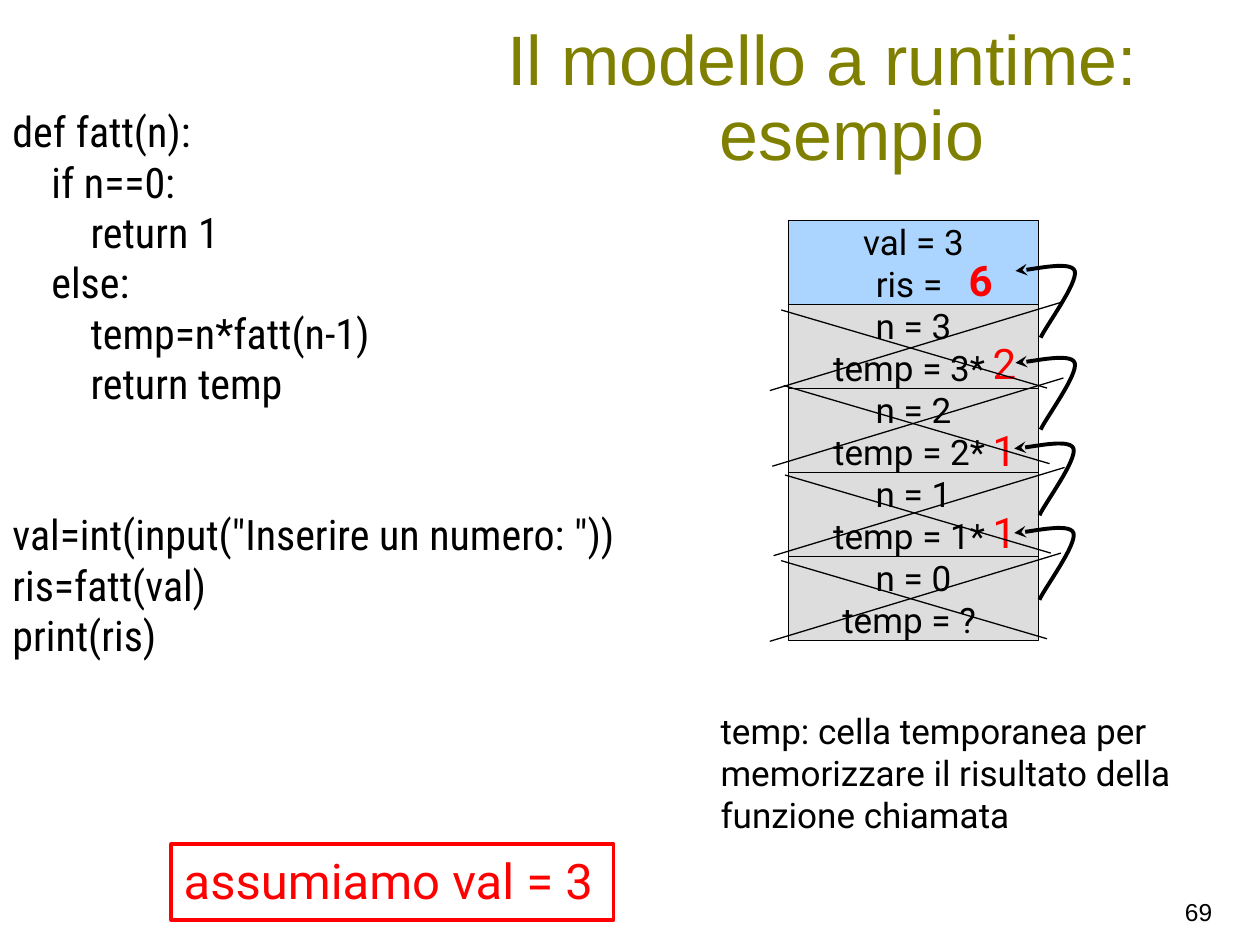
from dataclasses import dataclass

from lxml.etree import SubElement
from pptx import Presentation
from pptx.dml.color import RGBColor
from pptx.enum.shapes import MSO_CONNECTOR as Connector, MSO_SHAPE as Shape
from pptx.enum.text import MSO_ANCHOR as Anchor, PP_ALIGN as Align
from pptx.oxml.ns import qn
from pptx.util import Inches, Pt


@dataclass(frozen=True)
class Theme:
    black: RGBColor = RGBColor(0, 0, 0)
    red: RGBColor = RGBColor(255, 0, 0)
    olive: RGBColor = RGBColor(128, 128, 0)
    main_frame: RGBColor = RGBColor(0xAB, 0xD5, 0xFF)
    call_frame: RGBColor = RGBColor(0xDD, 0xDD, 0xDD)
    title: int = 40
    banner: int = 28
    code: int = 24
    body: int = 20
    number: int = 14


theme = Theme()


def write(shape, lines, size, color=theme.black, name="Roboto", bold=False,
          wrap=False, anchor=Anchor.TOP, align=Align.LEFT):
    """Fill a shape with lines given as (text, indent in inches, space before in points)."""
    frame = shape.text_frame
    frame.word_wrap, frame.vertical_anchor = wrap, anchor
    for i, (text, indent, space) in enumerate(lines):
        paragraph = frame.paragraphs[0] if i == 0 else frame.add_paragraph()
        paragraph.alignment = align
        if space:
            paragraph.space_before = Pt(space)
        if indent:
            paragraph._p.get_or_add_pPr().set("marL", str(Inches(indent)))
        run = paragraph.add_run()
        run.text = text
        for key, value in {"size": Pt(size), "name": name, "bold": bold}.items():
            setattr(run.font, key, value)
        run.font.color.rgb = color


def outline(shape, color, width):
    """Give a shape or connector a plain line without a shadow."""
    shape.line.color.rgb = color
    shape.line.width = Pt(width)
    if hasattr(shape, "shadow"):
        shape.shadow.inherit = False
    else:
        SubElement(shape._element.spPr, qn("a:effectLst"))


prs = Presentation()
prs.slide_width, prs.slide_height = Inches(10), Inches(7.5)
slide = prs.slides.add_slide(prs.slide_layouts[6])
shapes = slide.shapes

# Page number and title
page_number = shapes.add_textbox(Inches(8.96), Inches(7.07), Inches(0.76), Inches(0.39))
write(page_number, [("69", 0, 0)], theme.number, name="Arial", wrap=True, align=Align.RIGHT)

title = shapes.add_textbox(Inches(3.23), Inches(0.17), Inches(6.59), Inches(1.25))
write(title, [("Il modello a runtime:", 0, 0), ("esempio", 0.47, 0)], theme.title, theme.olive,
      name="Arial", wrap=True, anchor=Anchor.MIDDLE, align=Align.CENTER)
for paragraph in title.text_frame.paragraphs:
    paragraph.line_spacing = 0.9

# Program: one indent step per block, a gap of two lines before the main part
step, gap = 0.31, 57.5
code = [
    ("def fatt(n):", 0, 0),
    ("if n==0:", step, 0),
    ("return 1", 2 * step, 0),
    ("else:", step, 0),
    ("temp=n*fatt(n-1)", 2 * step, 0),
    ("return temp", 2 * step, 0),
    ('val=int(input("Inserire un numero: "))', 0, gap),
    ("ris=fatt(val)", 0, 0),
    ("print(ris)", 0, 0),
]
program = shapes.add_textbox(Inches(0), Inches(0.79), Inches(5.62), Inches(4.55))
write(program, code, theme.code, name="Roboto Condensed")

# Call stack
stack = [("val = 3", "ris = "), ("n = 3", "temp = 3* "), ("n = 2", "temp = 2* "),
         ("n = 1", "temp = 1* "), ("n = 0", "temp = ? ")]
frame_height = 0.667
for i, variables in enumerate(stack):
    record = shapes.add_shape(Shape.RECTANGLE, Inches(6.26), Inches(1.75 + i * frame_height),
                              Inches(1.98), Inches(frame_height))
    record.fill.solid()
    record.fill.fore_color.rgb = theme.call_frame if i else theme.main_frame
    outline(record, theme.black, 0.75)
    write(record, [(text, 0, 0) for text in variables], theme.body,
          anchor=Anchor.MIDDLE, align=Align.CENTER)

# Explanation and assumption
explanation = shapes.add_textbox(Inches(5.62), Inches(5.58), Inches(3.81), Inches(1.1))
write(explanation, [("temp: cella temporanea per", 0, 0),
                    ("memorizzare il risultato della", 0, 0),
                    ("funzione chiamata", 0, 0)], theme.body)

assumption = shapes.add_shape(Shape.RECTANGLE, Inches(1.36), Inches(6.7),
                              Inches(3.51), Inches(0.6))
assumption.fill.background()
outline(assumption, theme.red, 2.25)
write(assumption, [("assumiamo val = 3", 0, 0)], theme.banner, theme.red)

# Returned values
for value, left, top in [("1", 7.78, 3.97), ("1", 7.78, 3.32), ("2", 7.78, 2.63),
                         ("6", 7.59, 1.97)]:
    result = shapes.add_textbox(Inches(left), Inches(top), Inches(0.4), Inches(0.5))
    write(result, [(value, 0, 0)], theme.code, theme.red, bold=value == "6")

# Return arrows: two Bezier curves, relative to the corner of each arrow
curves = [[(0.2, 0.62), (0.24, 0.53), (0.5, 0.18), (0.47, 0.09)],
          [(0.47, 0.09), (0.44, 0), (0.1, 0.09), (0, 0.09)]]
steps = 16
bend = [curves[0][0]]
for curve in curves:
    for k in range(1, steps + 1):
        t = k / steps
        weights = [(1 - t) ** 3, 3 * t * (1 - t) ** 2, 3 * t ** 2 * (1 - t), t ** 3]
        bend.append(tuple(sum(w * point[axis] for w, point in zip(weights, curve))
                          for axis in (0, 1)))
for left, top in [(8.05, 4.14), (8.05, 3.47), (8.06, 2.79), (8.06, 2.06)]:
    points = [(Inches(left + x), Inches(top + y)) for x, y in bend]
    builder = shapes.build_freeform(*points[0])
    builder.add_line_segments(points[1:], close=False)
    arrow = builder.convert_to_shape()
    arrow.fill.background()
    outline(arrow, theme.black, 2.25)
    SubElement(arrow.line._get_or_add_ln(), qn("a:tailEnd"), type="stealth")

# Crosses over the finished calls
strokes = [(0, 0.7, 2.31, 0), (0.09, 0.06, 2.2, 0.68)]
for left, top in [(6.11, 4.39), (6.14, 3.71), (6.13, 3), (6.11, 2.4)]:
    cross = shapes.add_group_shape()
    for x1, y1, x2, y2 in strokes:
        stroke = cross.shapes.add_connector(
            Connector.STRAIGHT, Inches(left + x1), Inches(top + y1),
            Inches(left + x2), Inches(top + y2))
        outline(stroke, theme.black, 0.75)

prs.save("out.pptx")
